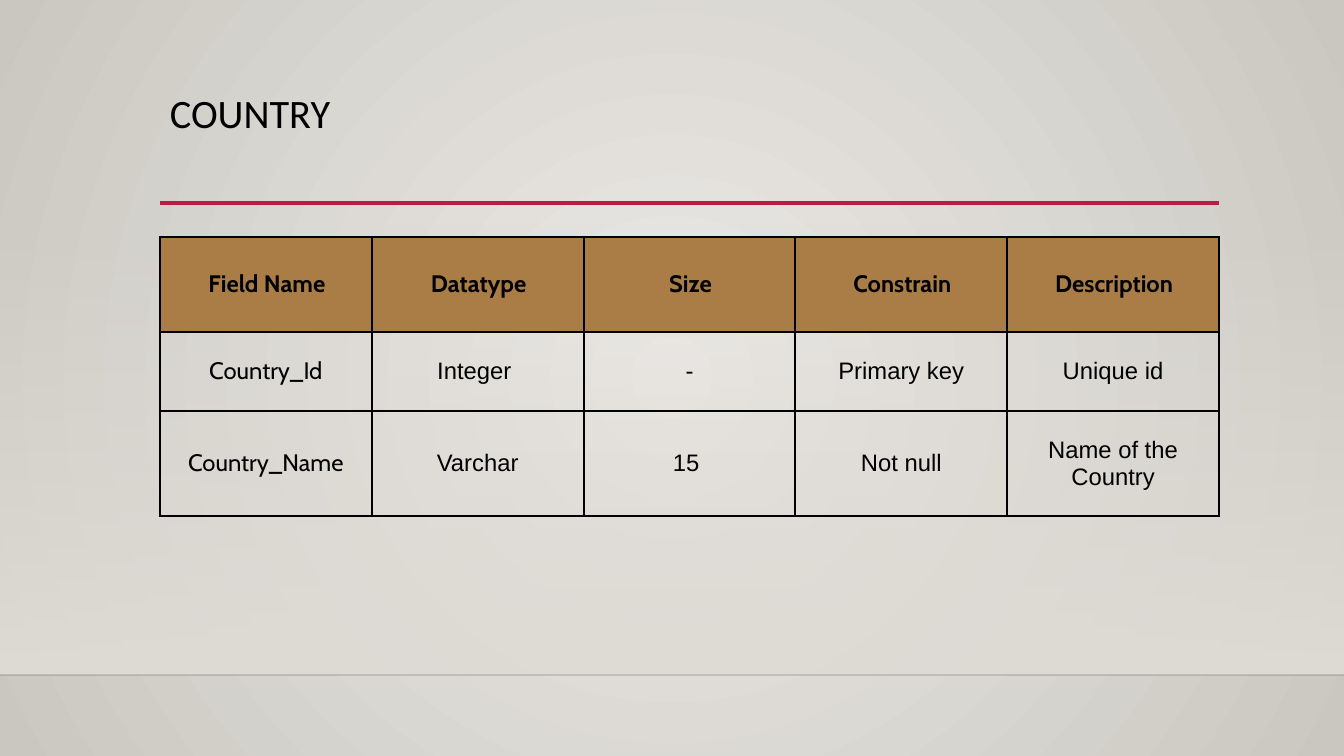
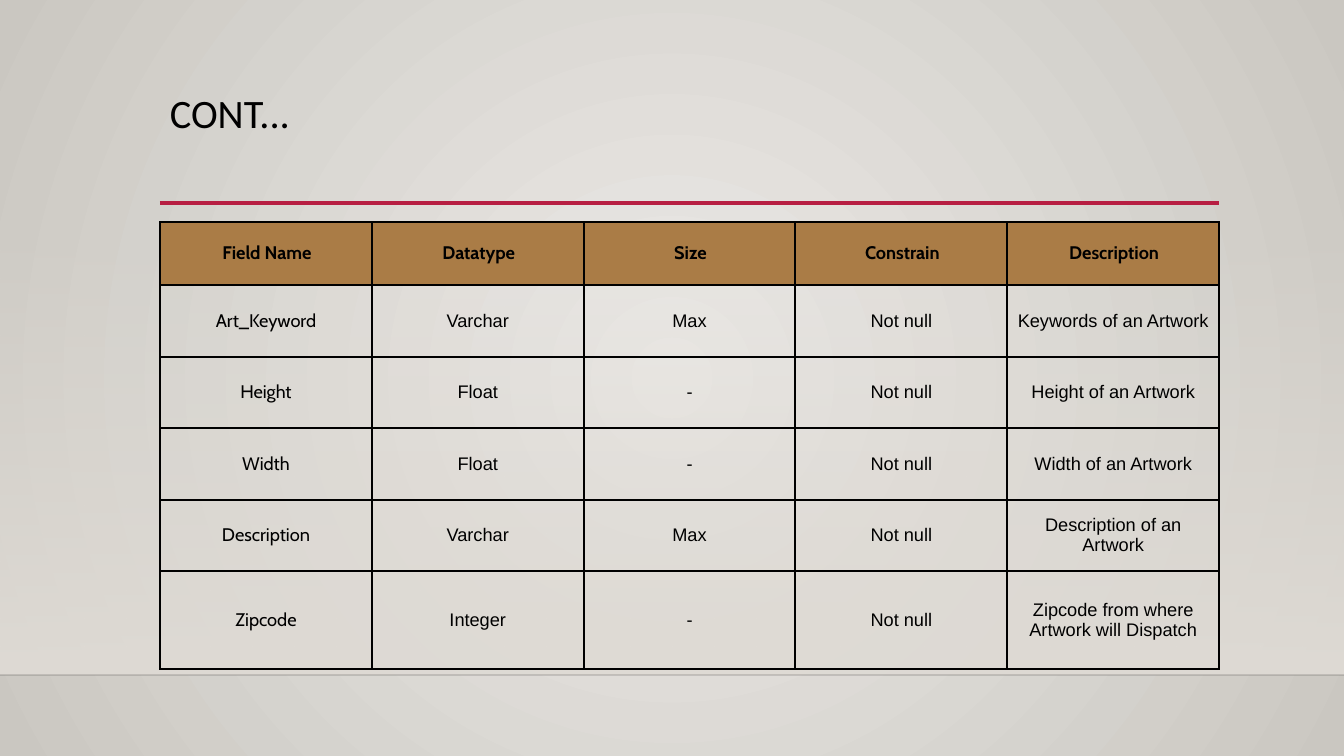
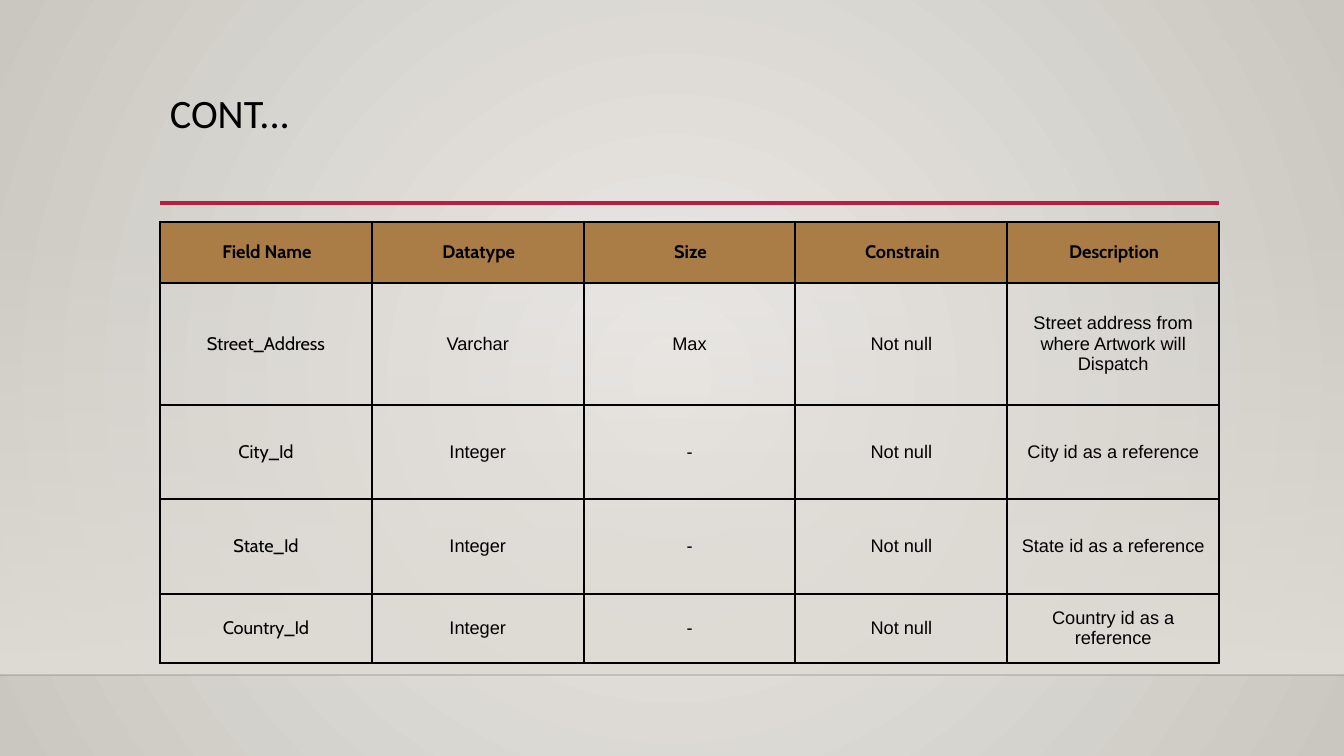
import lxml.etree
import pptx
import pptx.dml.color
import pptx.enum.shapes
import pptx.enum.text
import pptx.oxml.ns
import pptx.util

SLIDE_WIDTH, SLIDE_HEIGHT = 1344, 756
EMU_PER_PX = 12192000 / SLIDE_WIDTH

BLACK = pptx.dml.color.RGBColor(0x00, 0x00, 0x00)
CRIMSON = pptx.dml.color.RGBColor(0xB7, 0x1E, 0x42)
BRONZE = pptx.dml.color.RGBColor(0xAA, 0x7C, 0x46)
WALL_LIGHT = pptx.dml.color.RGBColor(0xEC, 0xEA, 0xE7)
WALL_DARK = pptx.dml.color.RGBColor(0xCA, 0xC7, 0xC1)
HAZE = pptx.dml.color.RGBColor(0xDF, 0xDB, 0xD5)

TITLE_FONT, FIELD_FONT, BODY_FONT = "Calibri", "Cabin", "Arial"
CONTENT_LEFT, CONTENT_WIDTH = 160, 1059
FLOOR_TOP = 675
HEADER_INDENT = 2
HEADERS = ["Field Name", "Datatype", "Size", "Constrain", "Description"]

COUNTRY_ROWS = [
    ["Country_Id", "Integer ", "-", "Primary key", "Unique id"],
    ["Country_Name", "Varchar", "15 ", "Not null", "Name of the Country"],
]
ARTWORK_ROWS = [
    ["Art_Keyword", "Varchar", "Max", "Not null", "Keywords of an Artwork"],
    ["Height", "Float", "-", "Not null", "Height of an Artwork"],
    ["Width", "Float", "-", "Not null", "Width of an Artwork"],
    ["Description", "Varchar", "Max", "Not null", "Description of an Artwork"],
    ["Zipcode", "Integer", "-", "Not null", "Zipcode from where Artwork will Dispatch"],
]
ADDRESS_ROWS = [
    ["Street_Address", "Varchar", "Max", "Not null",
     "Street address from where Artwork will Dispatch"],
    ["City_Id", "Integer", "-", "Not null", "City id as a reference"],
    ["State_Id", "Integer", "-", "Not null", "State id as a reference"],
    ["Country_Id", "Integer", "-", "Not null", "Country id as a reference"],
]


def px(length):
    return pptx.util.Emu(round(length * EMU_PER_PX))


def add_element(parent, tag, **attributes):
    return lxml.etree.SubElement(parent, pptx.oxml.ns.qn(tag), attributes)


def set_gradient(fill, first_color, last_color):
    fill.gradient()
    for stop, color in zip(fill.gradient_stops, (first_color, last_color)):
        stop.color.rgb = color


def set_first_alpha(element, percent):
    """Set the opacity of the first plain colour inside the element."""
    color = next(element.iter(pptx.oxml.ns.qn("a:srgbClr")))
    add_element(color, "a:alpha", val=str(percent * 1000))


def set_background(master):
    """Give every slide a radial gradient that is lightest in the middle."""
    set_gradient(master.background.fill, WALL_LIGHT, WALL_DARK)
    gradient = next(master.element.iter(pptx.oxml.ns.qn("a:gradFill")))
    gradient.remove(gradient.find(pptx.oxml.ns.qn("a:lin")))
    circle = add_element(gradient, "a:path", path="circle")
    add_element(circle, "a:fillToRect", l="50000", t="50000", r="50000", b="50000")


def add_rule(slide, left, top, width, color, weight):
    """Add a horizontal line."""
    rule = slide.shapes.add_connector(
        pptx.enum.shapes.MSO_CONNECTOR.STRAIGHT,
        px(left), px(top), px(left + width), px(top))
    rule.line.color.rgb = color
    rule.line.width = pptx.util.Pt(weight)
    add_element(rule._element.spPr, "a:effectLst")
    return rule


def add_haze(slide):
    """Add the band that fades in towards the floor line."""
    top = 223
    haze = slide.shapes.add_shape(
        pptx.enum.shapes.MSO_SHAPE.RECTANGLE,
        0, px(top), px(SLIDE_WIDTH), px(FLOOR_TOP - top))
    haze.shadow.inherit = False
    haze.line.fill.background()
    set_gradient(haze.fill, HAZE, HAZE)
    haze.fill.gradient_angle = 270
    set_first_alpha(haze._element.spPr, 0)


def set_font(paragraph, name, size, bold=False):
    paragraph.font.name = name
    paragraph.font.size = pptx.util.Pt(size)
    paragraph.font.bold = bold
    paragraph.font.color.rgb = BLACK


def add_title(slide, text):
    box = slide.shapes.add_textbox(px(CONTENT_LEFT), px(89), px(CONTENT_WIDTH), px(116))
    box.text_frame.word_wrap = True
    paragraph = box.text_frame.paragraphs[0]
    paragraph.text = text
    paragraph.line_spacing = 0.9
    set_font(paragraph, TITLE_FONT, 28.8)


def add_titled_slide(presentation, title):
    slide = presentation.slides.add_slide(presentation.slide_layouts[6])
    add_haze(slide)
    floor_line = add_rule(slide, 0, FLOOR_TOP, SLIDE_WIDTH, BLACK, 1)
    set_first_alpha(floor_line._element.spPr, 20)
    add_rule(slide, CONTENT_LEFT, 203, CONTENT_WIDTH, CRIMSON, 2.5)
    add_title(slide, title)
    return slide


def add_borders(cell):
    properties = cell._tc.get_or_add_tcPr()
    for position, tag in enumerate(("a:lnL", "a:lnR", "a:lnT", "a:lnB")):
        border = add_element(properties, tag, w=str(pptx.util.Pt(1.5)))
        fill = add_element(border, "a:solidFill")
        add_element(fill, "a:srgbClr", val=str(BLACK))
        properties.insert(position, border)


def fill_cell(cell, text, font_name, font_size, inset, is_header):
    cell.text = text
    cell.vertical_anchor = pptx.enum.text.MSO_ANCHOR.MIDDLE
    cell.margin_left = px(inset + HEADER_INDENT * is_header)
    cell.margin_right = cell.margin_top = cell.margin_bottom = px(inset)
    if is_header:
        cell.fill.solid()
        cell.fill.fore_color.rgb = BRONZE
    else:
        cell.fill.background()
    add_borders(cell)
    paragraph = cell.text_frame.paragraphs[0]
    paragraph.alignment = pptx.enum.text.PP_ALIGN.CENTER
    set_font(paragraph, font_name, font_size, is_header)


def add_field_table(slide, top, row_heights, field_rows, font_size, inset):
    rows = [HEADERS, *field_rows]
    table = slide.shapes.add_table(
        len(rows), len(HEADERS), px(CONTENT_LEFT), px(top),
        px(CONTENT_WIDTH), px(sum(row_heights))).table
    table.horz_banding = False
    table.first_row = False
    for column in table.columns:
        column.width = px(CONTENT_WIDTH / len(HEADERS))
    for row_index, (height, texts) in enumerate(zip(row_heights, rows)):
        table.rows[row_index].height = px(height)
        is_header = row_index == 0
        for column_index, text in enumerate(texts):
            font_name = FIELD_FONT if is_header or column_index == 0 else BODY_FONT
            fill_cell(table.cell(row_index, column_index), text,
                      font_name, font_size, inset, is_header)


def main():
    presentation = pptx.Presentation()
    presentation.slide_width = px(SLIDE_WIDTH)
    presentation.slide_height = px(SLIDE_HEIGHT)
    set_background(presentation.slide_master)

    country = add_titled_slide(presentation, "COUNTRY")
    add_field_table(country, 237, [95, 79, 105], COUNTRY_ROWS, 17, 10)

    artwork = add_titled_slide(presentation, "CONT...")
    add_field_table(artwork, 222, [63, 72, 71, 72, 71, 98], ARTWORK_ROWS, 13, 8)

    address = add_titled_slide(presentation, "CONT...")
    add_field_table(address, 222, [61, 122, 94, 95, 69], ADDRESS_ROWS, 13, 8)

    presentation.save("out.pptx")


if __name__ == "__main__":
    main()
